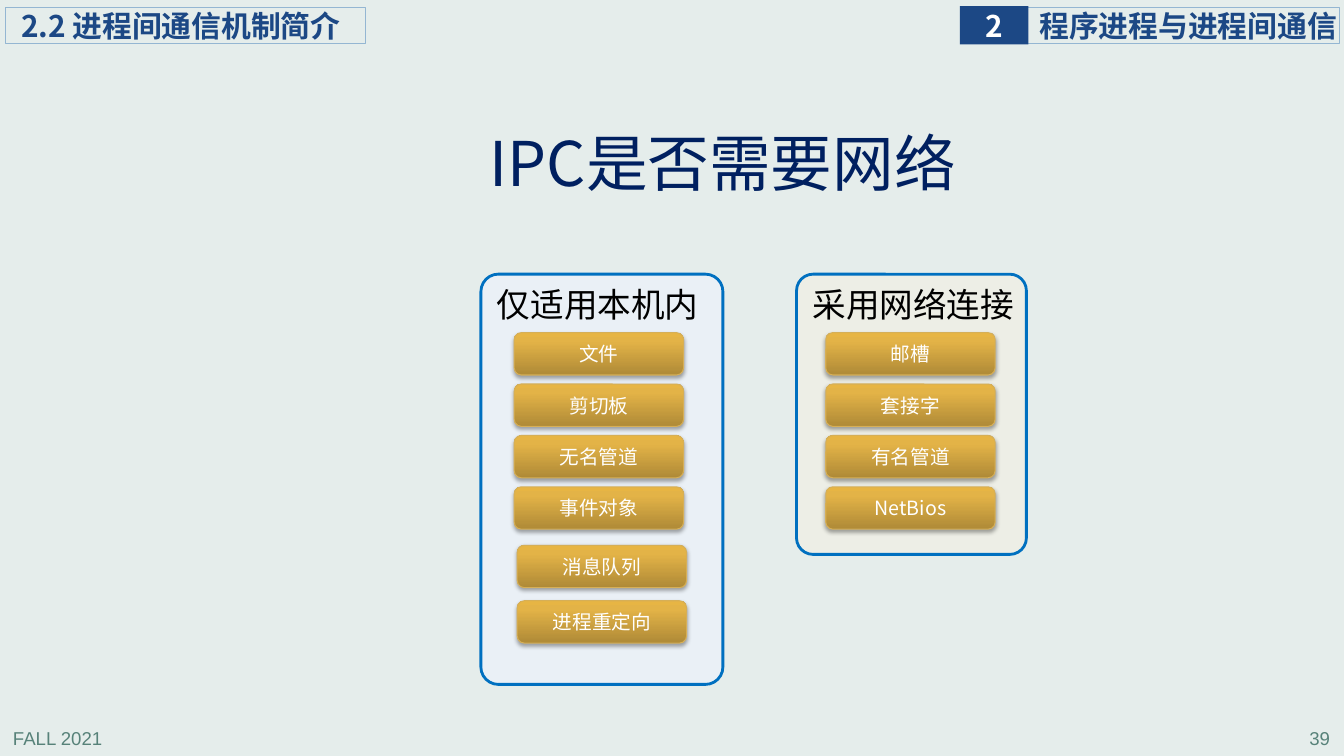
from lxml import etree
from pptx import Presentation, util as u
from pptx.dml.color import RGBColor
from pptx.enum import shapes, text
from pptx.oxml.ns import qn

WIDTH, HEIGHT = 13.33, 7.5
CJK, LATIN = "Noto Sans CJK SC", "Arial"
BACKGROUND = RGBColor(0xE5, 0xED, 0xEB)
NAVY = RGBColor(0x1C, 0x48, 0x85)
TITLE_BLUE = RGBColor(0x00, 0x20, 0x60)
PANEL_LINE = RGBColor(0x00, 0x70, 0xC0)
TAG_LINE = RGBColor(0x94, 0xB6, 0xD2)
PALE_BLUE = RGBColor(0xEA, 0xF0, 0xF6)
PALE_SAND = RGBColor(0xED, 0xEE, 0xE6)
FOOTER_GREEN = RGBColor(0x57, 0x82, 0x79)
GOLD_LINE = RGBColor(0xD6, 0xAF, 0x57)
WHITE = RGBColor(0xFF, 0xFF, 0xFF)
BLACK = RGBColor(0x00, 0x00, 0x00)
GOLD_STOPS = (
    (0, RGBColor(0xAF, 0x8A, 0x37)),
    (80, RGBColor(0xE3, 0xB3, 0x47)),
    (100, RGBColor(0xE7, 0xB5, 0x44)),
)
BUTTON_W, BUTTON_H = 1.68, 0.42
RECT = shapes.MSO_SHAPE.RECTANGLE
ROUNDED = shapes.MSO_SHAPE.ROUNDED_RECTANGLE
LEFT, CENTER, RIGHT = (text.PP_ALIGN.LEFT, text.PP_ALIGN.CENTER,
                       text.PP_ALIGN.RIGHT)
TOP, MIDDLE = text.MSO_ANCHOR.TOP, text.MSO_ANCHOR.MIDDLE


def write(sp, content, size, color, font=CJK, bold=False, align=LEFT,
          anchor=MIDDLE, insets=(0.1, 0.05, 0.1, 0.05), wrap=True,
          spacing=None):
    tf = sp.text_frame
    tf.word_wrap = wrap
    tf.vertical_anchor = anchor
    (tf.margin_left, tf.margin_top,
     tf.margin_right, tf.margin_bottom) = map(u.Inches, insets)
    p = tf.paragraphs[0]
    p.alignment = align
    p.line_spacing = spacing
    r = p.add_run()
    r.text = content
    r.font.size = u.Pt(size)
    r.font.bold = bold
    r.font.name = font
    r.font.color.rgb = color
    east_asian = etree.SubElement(r.font._element, qn("a:ea"))
    east_asian.set("typeface", font)


def add_box(s, kind, box, fill=None, line=None, weight=0.75):
    sp = s.shapes.add_shape(kind, *map(u.Inches, box))
    sp.shadow.inherit = False
    if fill is None:
        sp.fill.background()
    else:
        sp.fill.solid()
        sp.fill.fore_color.rgb = fill
    if line is None:
        sp.line.fill.background()
    else:
        sp.line.color.rgb = line
        sp.line.width = u.Pt(weight)
    return sp


def add_label(s, box, content, size, color, **format):
    sp = s.shapes.add_textbox(*map(u.Inches, box))
    write(sp, content, size, color, anchor=TOP, **format)


def add_color(parent, color):
    return etree.SubElement(parent, qn("a:srgbClr"), val=str(color))


def add_gold(sp):
    sp.fill.gradient()
    sp.fill.gradient_angle = 90
    stops = sp._element.spPr.find(".//" + qn("a:gsLst"))
    for stop in list(stops):
        stops.remove(stop)
    for share, color in GOLD_STOPS:
        add_color(etree.SubElement(stops, qn("a:gs"), pos=str(share * 1000)),
                  color)
    effects = sp._element.spPr.find(qn("a:effectLst"))
    shadow = etree.SubElement(
        effects, qn("a:outerShdw"), blurRad=str(u.Pt(3.1)),
        dist=str(u.Pt(1.8)), dir="5400000", rotWithShape="0")
    etree.SubElement(add_color(shadow, BLACK), qn("a:alpha"), val="35000")


def add_buttons(s, x, y, pitch, names):
    for i, name in enumerate(names):
        sp = add_box(s, ROUNDED, (x, y + i * pitch, BUTTON_W, BUTTON_H),
                     line=GOLD_LINE)
        add_gold(sp)
        write(sp, name, 14, WHITE, align=CENTER)


def add_panel(s, box, fill, heading, heading_dx, stacks):
    x, y, w, h = box
    sp = add_box(s, ROUNDED, box, fill, PANEL_LINE, 2)
    sp.adjustments[0] = 0.072
    add_label(s, (x + heading_dx, y + 0.05, 2.22, 0.5), heading, 24, BLACK,
              wrap=False)
    for dx, dy, pitch, names in stacks:
        add_buttons(s, x + dx, y + dy, pitch, names)


def add_header(s, section, number, chapter):
    top, h = 0.07, 0.36
    tag = dict(size=21.3, bold=True)
    sp = add_box(s, RECT, (WIDTH - 3.14, top, 3.1, h), line=TAG_LINE)
    write(sp, chapter, color=NAVY, insets=(0.12, 0, 0, 0), **tag)
    sp = add_box(s, RECT, (WIDTH - 3.81, top - 0.01, 0.68, h + 0.02), NAVY)
    write(sp, number, color=WHITE, align=CENTER, insets=(0, 0, 0, 0),
          wrap=False, **tag)
    sp = add_box(s, RECT, (0.05, top, 3.58, h), line=TAG_LINE)
    write(sp, section, color=NAVY, insets=(0.16, 0, 0, 0), **tag)


def add_footer(s, term, page):
    y, w, h = HEIGHT - 0.34, 2.78, 0.31
    for x, content, align in ((0.03, term, LEFT),
                              (WIDTH - w - 0.04, page, RIGHT)):
        add_label(s, (x, y, w, h), content, 13.3, FOOTER_GREEN, font=LATIN,
                  align=align)


def add_title(s, box, content):
    sp = s.shapes.title
    sp.left, sp.top, sp.width, sp.height = map(u.Inches, box)
    write(sp, content, 44, TITLE_BLUE, align=CENTER, spacing=0.9,
          insets=(0.08, 0.04, 0.08, 0.04))


def main():
    prs = Presentation()
    prs.slide_width, prs.slide_height = u.Inches(WIDTH), u.Inches(HEIGHT)
    s = prs.slides.add_slide(prs.slide_layouts[5])
    s.background.fill.solid()
    s.background.fill.fore_color.rgb = BACKGROUND
    add_footer(s, "FALL 2021", "39")
    add_header(s, "2.2 进程间通信机制简介", "2", "程序进程与进程间通信")
    add_title(s, (4.62, 1.22, 5.1, 0.87), "IPC是否需要网络")
    add_panel(s, (4.77, 2.72, 2.4, 4.07), PALE_BLUE, "仅适用本机内", 0.06, (
        (0.33, 0.58, 0.51, ("文件", "剪切板", "无名管道", "事件对象")),
        (0.36, 2.69, 0.55, ("消息队列", "进程重定向")),
    ))
    add_panel(s, (7.9, 2.72, 2.28, 2.78), PALE_SAND, "采用网络连接", 0.06, (
        (0.29, 0.58, 0.51, ("邮槽", "套接字", "有名管道", "NetBios")),
    ))
    prs.save("out.pptx")


if __name__ == "__main__":
    main()
